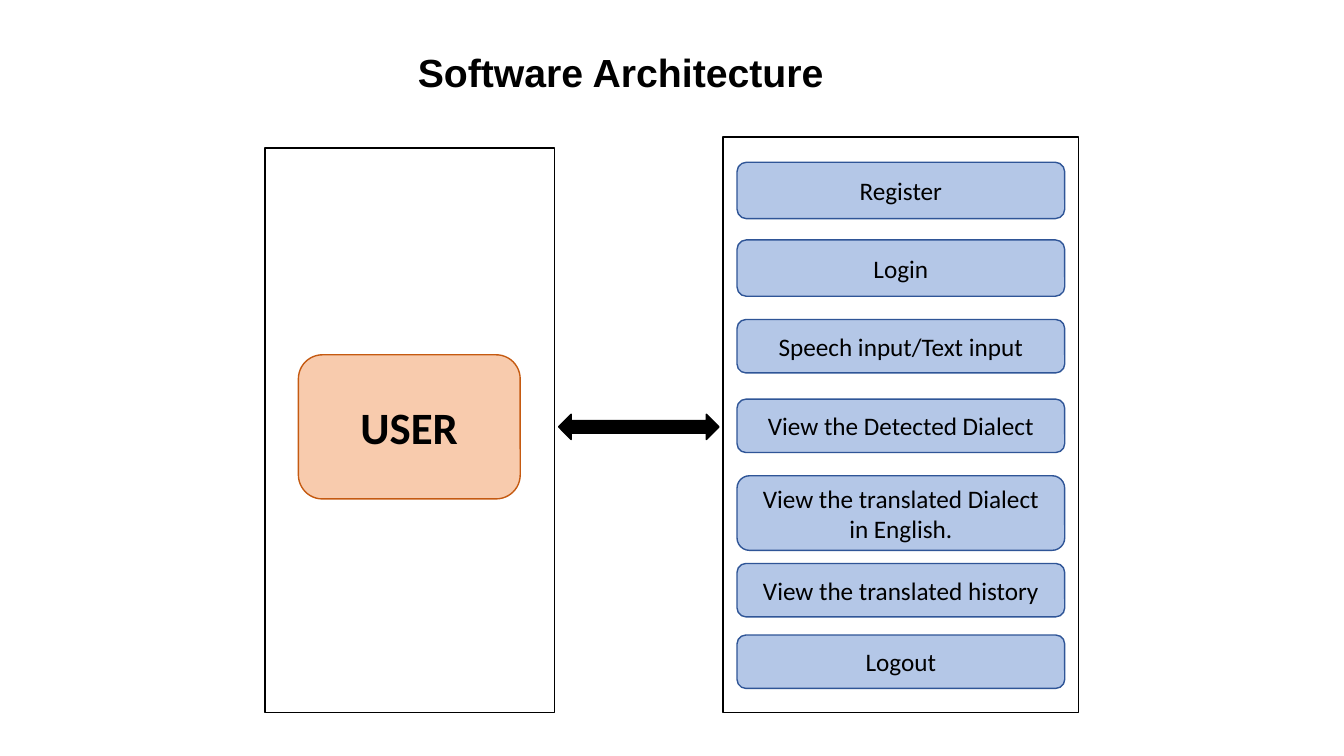
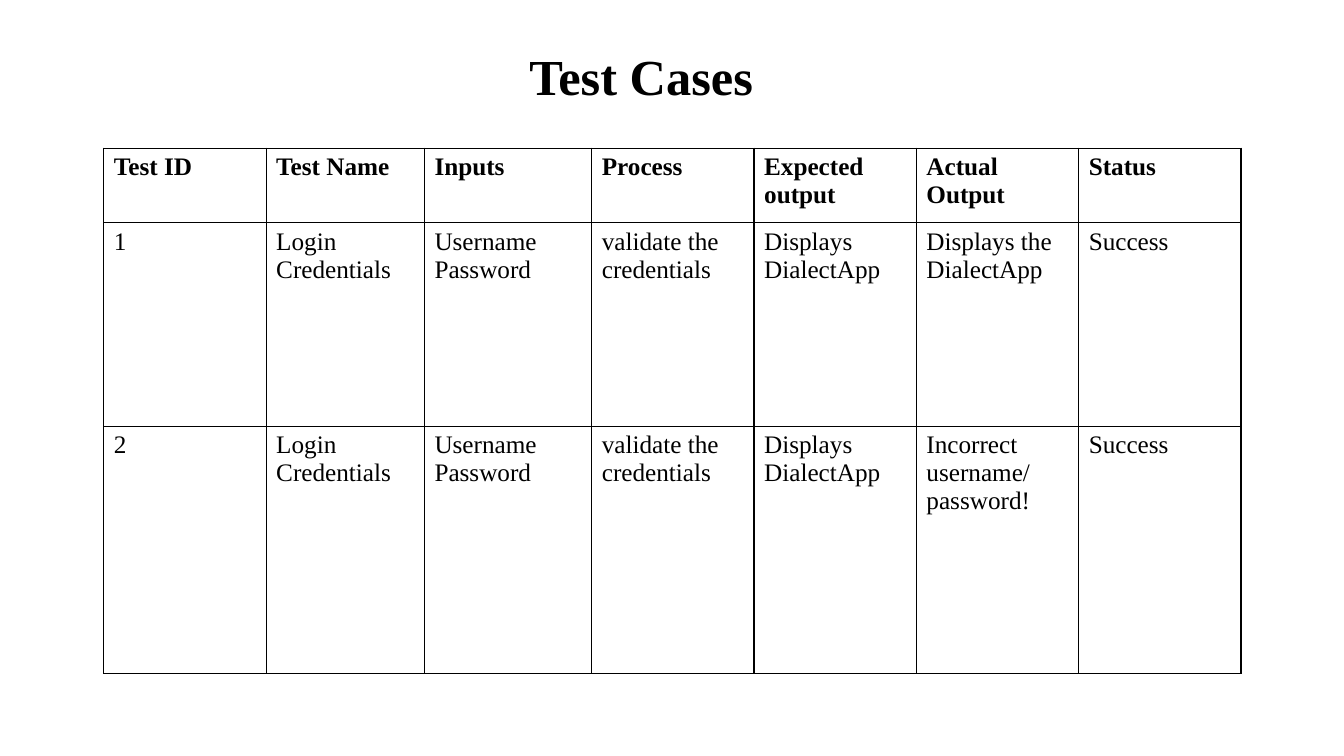
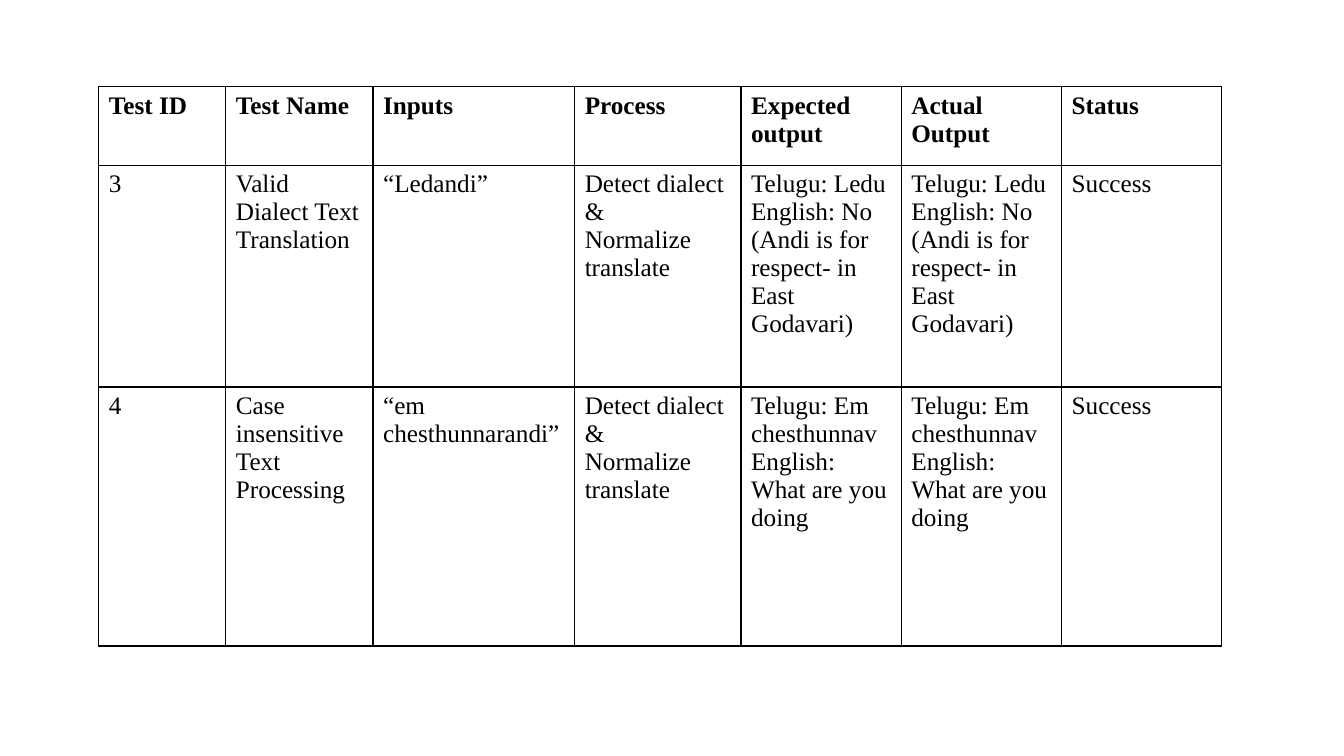
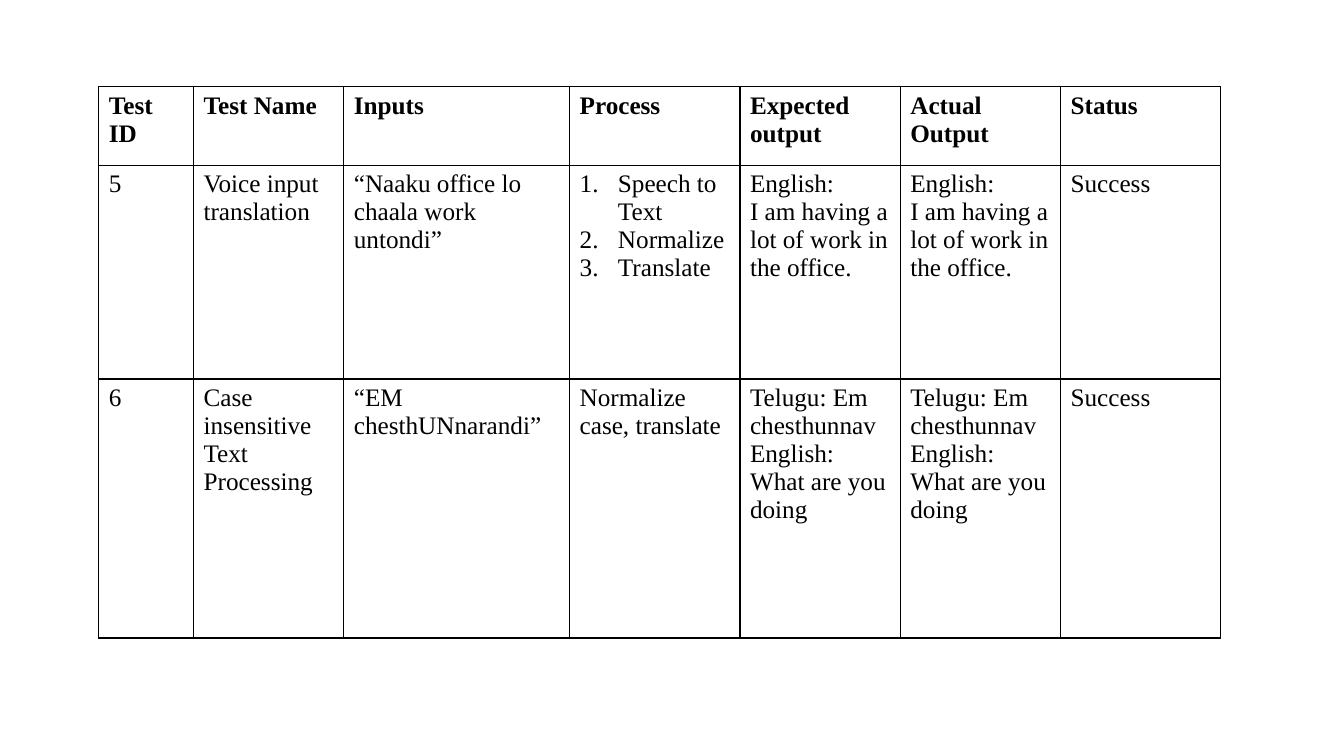
import pptx
import pptx.dml.color
import pptx.enum.shapes
import pptx.enum.text
import pptx.oxml
import pptx.oxml.ns
import pptx.util
import lxml.etree

Inches = pptx.util.Inches
Pt = pptx.util.Pt
SHAPES = pptx.enum.shapes.MSO_SHAPE
QN = pptx.oxml.ns.qn

COLOURS = {
    "ink": "000000",
    "paper": "FFFFFF",
    "user_fill": "F8CBAD",
    "user_line": "C55A11",
    "step_fill": "B4C7E7",
    "step_line": "2F5597",
}
RGB = {name: pptx.dml.color.RGBColor.from_string(value) for name, value in COLOURS.items()}


def format_text(frame, font_name, size, bold=False, align=None):
    for paragraph in frame.paragraphs:
        paragraph.alignment = align
        for run in paragraph.runs:
            run.font.name = font_name
            run.font.size = Pt(size)
            run.font.bold = bold
            run.font.color.rgb = RGB["ink"]


def add_block(slide, kind, box, fill, line, text="", size=18, bold=False):
    block = slide.shapes.add_shape(kind, *map(Inches, box))
    block.shadow.inherit = False
    block.fill.solid()
    block.fill.fore_color.rgb = RGB[fill]
    block.line.color.rgb = RGB[line]
    block.line.width = Pt(1)
    if text:
        block.text_frame.text = text
        format_text(block.text_frame, "Calibri", size, bold, pptx.enum.text.PP_ALIGN.CENTER)


HEADINGS = ["Test ID", "Test Name", "Inputs", "Process", "Expected output", "Actual Output", "Status"]
LOGIN = ["Login Credentials", "Username\nPassword", "validate the credentials", "Displays DialectApp"]
DETECT = "Detect dialect &\nNormalize translate"
RESPECT = "Telugu: Ledu\nEnglish: No\n(Andi is for respect- in East Godavari)"
GREETING = "Telugu: Em chesthunnav\nEnglish: What are you doing"
WORKLOAD = "English:\nI am having a lot of work in the office."
CASE_TEST = "Case insensitive Text Processing"
NUMBERED_STEPS = "Speech to Text\nNormalize\nTranslate"

SLIDES = [
    {
        "title": ("Software Architecture", "Arial", 28, (3.22, 0.43, 5.87, 0.57)),
    },
    {
        "title": ("Test Cases", "Times New Roman", 36, (3.03, 0.39, 6.66, 0.71)),
        "origin": (1.03, 1.47),
        "columns": [1.61, 1.57, 1.66, 1.61, 1.61, 1.61, 1.61],
        "rows": [0.74, 2.02, 2.45],
        "cases": [
            ["1", *LOGIN, "Displays the DialectApp", "Success"],
            ["2", *LOGIN, "Incorrect username/\npassword!", "Success"],
        ],
    },
    {
        "origin": (0.98, 0.86),
        "columns": [1.26, 1.46, 2, 1.65, 1.59, 1.59, 1.59],
        "rows": [0.78, 2.2, 2.57],
        "cases": [
            ["3", "Valid Dialect Text Translation", "“Ledandi”", DETECT, RESPECT, RESPECT, "Success"],
            ["4", CASE_TEST, "“em chesthunnarandi”", DETECT, GREETING, GREETING, "Success"],
        ],
    },
    {
        "origin": (0.98, 0.86),
        "columns": [0.94, 1.49, 2.24, 1.69, 1.59, 1.59, 1.59],
        "rows": [0.78, 2.12, 2.57],
        "cases": [
            ["5", "Voice input translation", "“Naaku office lo chaala work untondi”",
             NUMBERED_STEPS, WORKLOAD, WORKLOAD, "Success"],
            ["6", CASE_TEST, "“EM chesthUNnarandi”", "Normalize case, translate",
             GREETING, GREETING, "Success"],
        ],
    },
]

STEPS = [
    ("Register", 1.61, 0.56),
    ("Login", 2.38, 0.56),
    ("Speech input/Text input", 3.17, 0.53),
    ("View the Detected Dialect", 3.96, 0.53),
    ("View the translated Dialect in English.", 4.72, 0.74),
    ("View the translated history", 5.59, 0.53),
    ("Logout", 6.3, 0.53),
]

deck = pptx.Presentation()
deck.slide_width = Inches(13.33)
deck.slide_height = Inches(7.5)
title_layout, blank_layout = deck.slide_layouts[5], deck.slide_layouts[6]

for content in SLIDES:
    slide = deck.slides.add_slide(title_layout if "title" in content else blank_layout)

    if "title" in content:
        heading, font_name, size, box = content["title"]
        title = slide.shapes.title
        title.left, title.top, title.width, title.height = map(Inches, box)
        title.text_frame.text = heading
        title.text_frame.word_wrap = True
        title.text_frame.auto_size = pptx.enum.text.MSO_AUTO_SIZE.NONE
        format_text(title.text_frame, font_name, size, True, pptx.enum.text.PP_ALIGN.CENTER)

    if "cases" not in content:
        add_block(slide, SHAPES.RECTANGLE, (2.63, 1.47, 2.87, 5.6), "paper", "ink")
        add_block(slide, SHAPES.LEFT_RIGHT_ARROW, (5.54, 4.11, 1.59, 0.25), "ink", "ink")
        add_block(slide, SHAPES.RECTANGLE, (7.17, 1.36, 3.53, 5.71), "paper", "ink")
        add_block(slide, SHAPES.ROUNDED_RECTANGLE, (2.96, 3.52, 2.2, 1.43),
                  "user_fill", "user_line", "USER", 32, True)
        for step, top, height in STEPS:
            add_block(slide, SHAPES.ROUNDED_RECTANGLE, (7.31, top, 3.25, height),
                      "step_fill", "step_line", step)
        continue

    left, top = content["origin"]
    columns, rows = content["columns"], content["rows"]
    test_table = slide.shapes.add_table(
        len(rows), len(columns), Inches(left), Inches(top),
        Inches(sum(columns)), Inches(sum(rows))).table
    test_table.first_row = False
    test_table.horz_banding = False
    for column, width in zip(test_table.columns, columns):
        column.width = Inches(width)
    for row, height in zip(test_table.rows, rows):
        row.height = Inches(height)

    for row_index, texts in enumerate([HEADINGS, *content["cases"]]):
        for column_index, text in enumerate(texts):
            cell = test_table.cell(row_index, column_index)
            cell.text_frame.text = text
            format_text(cell.text_frame, "Times New Roman", 18, row_index == 0)

            properties = cell._tc.get_or_add_tcPr()
            for edge in ("a:lnL", "a:lnR", "a:lnT", "a:lnB"):
                border = lxml.etree.SubElement(properties, QN(edge), w=str(Pt(1)))
                border_fill = lxml.etree.SubElement(border, QN("a:solidFill"))
                lxml.etree.SubElement(border_fill, QN("a:srgbClr"), val=COLOURS["ink"])
            cell.fill.solid()
            cell.fill.fore_color.rgb = RGB["paper"]

            if text == NUMBERED_STEPS:
                for paragraph in cell.text_frame.paragraphs:
                    numbering = paragraph._p.get_or_add_pPr()
                    numbering.set("marL", str(Inches(0.38)))
                    numbering.set("indent", str(-Inches(0.38)))
                    lxml.etree.SubElement(numbering, QN("a:buAutoNum"), type="arabicPeriod")

deck.save("out.pptx")
